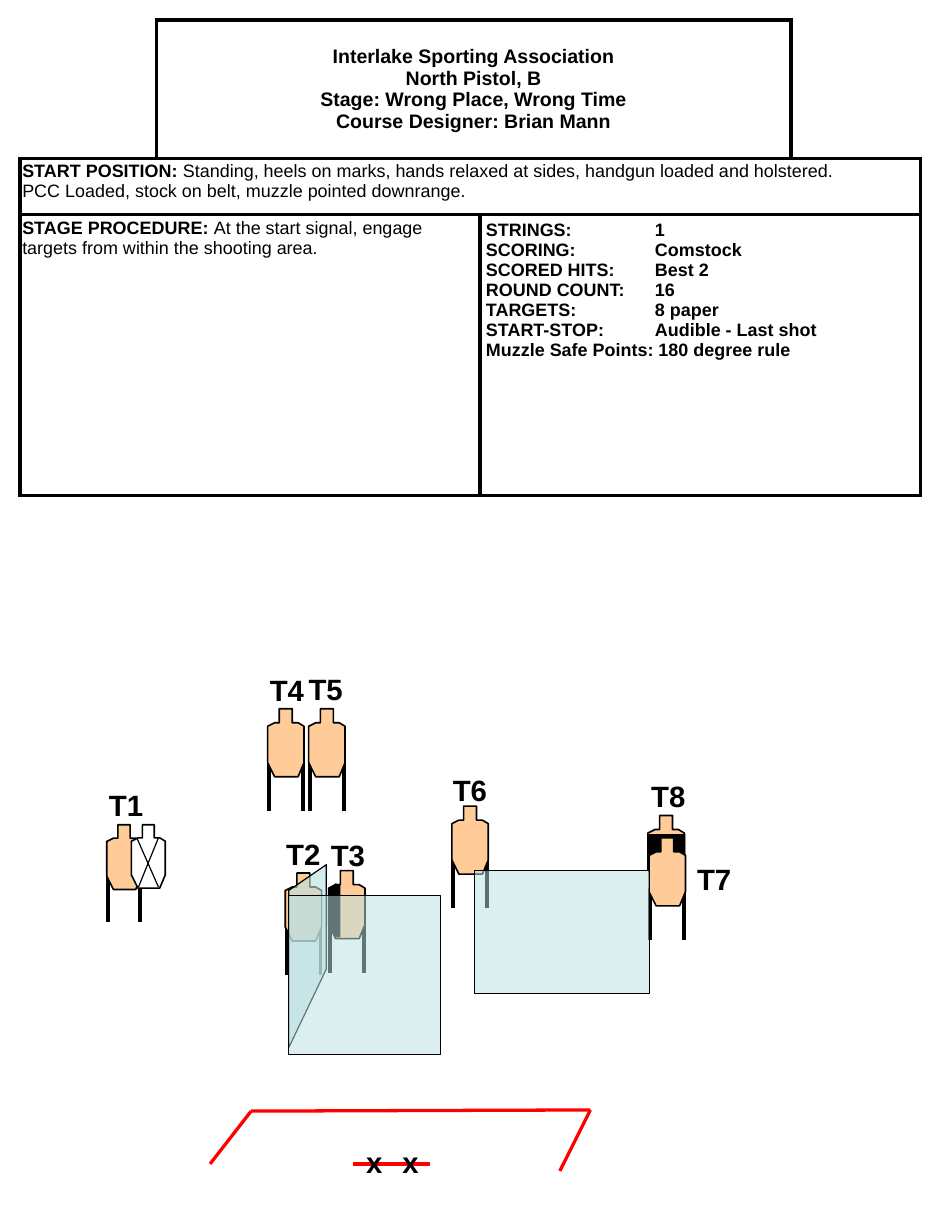
from lxml.etree import SubElement as Sub
from pptx import Presentation
from pptx.dml.color import RGBColor as RGB
from pptx.enum.shapes import MSO_CONNECTOR as Link
from pptx.enum.text import MSO_ANCHOR as Anchor, PP_ALIGN as Align
from pptx.oxml.ns import qn
from pptx.util import Inches, Pt

THEME = {
    "black": RGB(0, 0, 0), "white": RGB(255, 255, 255), "red": RGB(255, 0, 0),
    "tan": RGB(0xFF, 0xCC, 0x99), "glass": RGB(0xBB, 0xE0, 0xE3),
    "head": {"name": "Arial", "size": Pt(12), "bold": True},
    "key": {"name": "Arial", "size": Pt(11), "bold": True},
    "body": {"name": "Arial", "size": Pt(11), "bold": False},
    "mark": {"name": "Arial", "size": Pt(18), "bold": True},
}

deck = Presentation()
deck.slide_width, deck.slide_height = Inches(8), Inches(10.5)
slide = deck.slides.add_slide(deck.slide_layouts[6])
shapes = slide.shapes


def line(x1, y1, x2, y2, width=2.25, color="black"):
    link = shapes.add_connector(Link.STRAIGHT, *map(Inches, (x1, y1, x2, y2)))
    link.line.color.rgb = THEME[color]
    link.line.width = Pt(width)
    Sub(link.element.spPr, qn("a:effectLst"))


def shape(dots, fill, width=0, alpha=100):
    start, *rest = [(Inches(x), Inches(y)) for x, y in dots]
    pen = shapes.build_freeform(*start)
    pen.add_line_segments(rest, close=True)
    form = pen.convert_to_shape()
    form.shadow.inherit = False
    form.fill.solid()
    form.fill.fore_color.rgb = THEME[fill]
    if alpha < 100:
        color = form.element.spPr.find(".//" + qn("a:srgbClr"))
        Sub(color, qn("a:alpha"), val=str(alpha * 1000))
    if width:
        form.line.color.rgb = THEME["black"]
        form.line.width = Pt(width)
    else:
        form.line.fill.background()


# Stage table: row, first column, last column, ruled sides
cols, rows = [1.16, 2.76, 2.65, 1.1], [1.18, 0.48, 2.39]
table = shapes.add_table(3, 4, *map(Inches, (0.17, 0.17, 7.67, 4.05))).table
table.first_row = table.horz_banding = False
for col, size in zip(table.columns, cols):
    col.width = Inches(size)
for row, size in zip(table.rows, rows):
    row.height = Inches(size)

spans = [(0, 0, 0, "RB"), (0, 1, 2, "LRTB"), (0, 3, 3, "LB"),
         (1, 0, 3, "LRTB"), (2, 0, 1, "LRTB"), (2, 2, 3, "LRTB")]
for row, first, last, sides in spans:
    for col in range(first, last + 1):
        cell = table.cell(row, col)
        props = cell._tc.get_or_add_tcPr()
        for side in "LRTB":
            edge = Sub(props, qn("a:ln" + side), w=str(Pt(2.25)))
            inner = side == "L" and col > first or side == "R" and first < col < last
            if side in sides and not inner:
                ink = Sub(edge, qn("a:solidFill"))
                Sub(ink, qn("a:srgbClr"), val=str(THEME["black"]))
            else:
                Sub(edge, qn("a:noFill"))
        cell.fill.solid()
        cell.fill.fore_color.rgb = THEME["white"]
    if last > first:
        table.cell(row, first).merge(table.cell(row, last))

# Table text: cell, side and top margins, paragraphs of (style, text), format
facts = ["STRINGS:\t1", "SCORING:\tComstock", "SCORED HITS:\tBest 2",
         "ROUND COUNT:\t16", "TARGETS:\t8 paper",
         "START-STOP:\tAudible - Last shot",
         "Muzzle Safe Points: 180 degree rule"]
title = ("Interlake Sporting Association\vNorth Pistol, B\v"
         "Stage: Wrong Place, Wrong Time\vCourse Designer: Brian Mann")
texts = [
    (0, 1, 0.05, 0.05, [[("head", title)]], {"alignment": Align.CENTER}),
    (1, 0, 0.02, 0.04, [
        [("key", "START POSITION: "),
         ("body", "Standing, heels on marks, hands relaxed at sides, "
                  "handgun loaded and holstered.")],
        [("body", "PCC Loaded, stock on belt, muzzle pointed downrange.")],
    ], {"line_spacing": 0.9}),
    (2, 0, 0.02, 0.03, [
        [("key", "STAGE PROCEDURE: "),
         ("body", "At the start signal, engage targets from within "
                  "the shooting area.")]], {}),
    (2, 2, 0.05, 0.05, [[("key", fact)] for fact in facts], {}),
]
for row, col, side, top, paras, form in texts:
    cell = table.cell(row, col)
    cell.margin_left = cell.margin_right = Inches(side)
    cell.margin_top = cell.margin_bottom = Inches(top)
    cell.vertical_anchor = Anchor.MIDDLE if row == 0 else Anchor.TOP
    frame = cell.text_frame
    for i, parts in enumerate(paras):
        para = frame.add_paragraph() if i else frame.paragraphs[0]
        for name, value in form.items():
            setattr(para, name, value)
        if row == 1 and i:
            para.space_before = Pt(1)
        if "\t" in parts[0][1]:
            tabs = Sub(para._p.get_or_add_pPr(), qn("a:tabLst"))
            Sub(tabs, qn("a:tab"), pos=str(Inches(1.44)), algn="l")
        for style, text in parts:
            for j, piece in enumerate(text.split("\v")):
                if j:
                    para.add_line_break()
                run = para.add_run()
                run.text = piece
                run.font.color.rgb = THEME["black"]
                for name, value in THEME[style].items():
                    setattr(run.font, name, value)

# Targets: left, top, scale, fill, legs
outline = [(0.1, 0), (0.21, 0), (0.21, 0.12), (0.26, 0.12), (0.31, 0.15),
           (0.31, 0.46), (0.26, 0.58), (0.06, 0.58), (0, 0.46), (0, 0.15),
           (0.06, 0.12), (0.1, 0.12)]
targets = [
    (5.52, 6.95, 1, "tan", False), (5.53, 7.14, 1, "tan", True),
    (2.43, 7.44, 1, "tan", True), (2.8, 7.42, 1, "tan", True),
    (3.85, 6.87, 1, "tan", True), (2.63, 6.04, 1, "tan", True),
    (2.28, 6.04, 1, "tan", True), (0.91, 7.03, 0.95, "tan", True),
    (1.12, 7.03, 0.93, "white", False),
]
# Hard cover over the lower T8 body and the left side of T3
covers = {
    (5.52, 6.95): [(5.52, 7.11), (5.84, 7.11), (5.84, 7.41), (5.78, 7.52),
                   (5.58, 7.52), (5.52, 7.41)],
    (2.8, 7.42): [(2.9, 7.54), (2.9, 7.99), (2.86, 7.99), (2.8, 7.88),
                  (2.8, 7.57), (2.86, 7.53)],
}
for x, y, scale, fill, legs in targets:
    if legs:
        for leg in (0.01, 0.3):
            line(x + leg * scale, y + 0.43 * scale, x + leg * scale, y + 0.87 * scale)
    shape([(x + dx * scale, y + dy * scale) for dx, dy in outline], fill, 1)
    if (x, y) in covers:
        shape(covers[x, y], "black")

# Cross on the no-shoot target
line(1.35, 7.14, 1.18, 7.56, 0.75)
line(1.17, 7.15, 1.35, 7.56, 0.75)

# Shooting area and start line
for ends in [(2.14, 9.47, 1.79, 9.92), (4.77, 9.98, 5.03, 9.46),
             (5.03, 9.46, 2.14, 9.47), (3.66, 9.92, 3.01, 9.92)]:
    line(*ends, 2, "red")

# Target labels and heel marks
marks = [("T1", 0.83, 6.66), ("T2", 2.34, 7.08), ("T3", 2.72, 7.09),
         ("T4", 2.2, 5.68), ("T5", 2.53, 5.67), ("T6", 3.76, 6.53),
         ("T7", 5.84, 7.29), ("T8", 5.45, 6.58), ("x", 3.02, 9.7), ("x", 3.33, 9.7)]
for text, x, y in marks:
    frame = shapes.add_textbox(*map(Inches, (x, y, 0.58, 0.4))).text_frame
    frame.word_wrap = True
    run = frame.paragraphs[0].add_run()
    run.text = text
    run.font.color.rgb = THEME["black"]
    for name, value in THEME["mark"].items():
        setattr(run.font, name, value)

# See-through walls
shape([(2.78, 8.26), (2.46, 8.93), (2.46, 7.59), (2.78, 7.37)], "glass", 0.75, 61)
for left, top, right, base, alpha in [(2.46, 7.63, 3.75, 8.99, 52),
                                      (4.04, 7.42, 5.53, 8.47, 50)]:
    shape([(left, top), (right, top), (right, base), (left, base)],
          "glass", 0.75, alpha)

deck.save("out.pptx")
